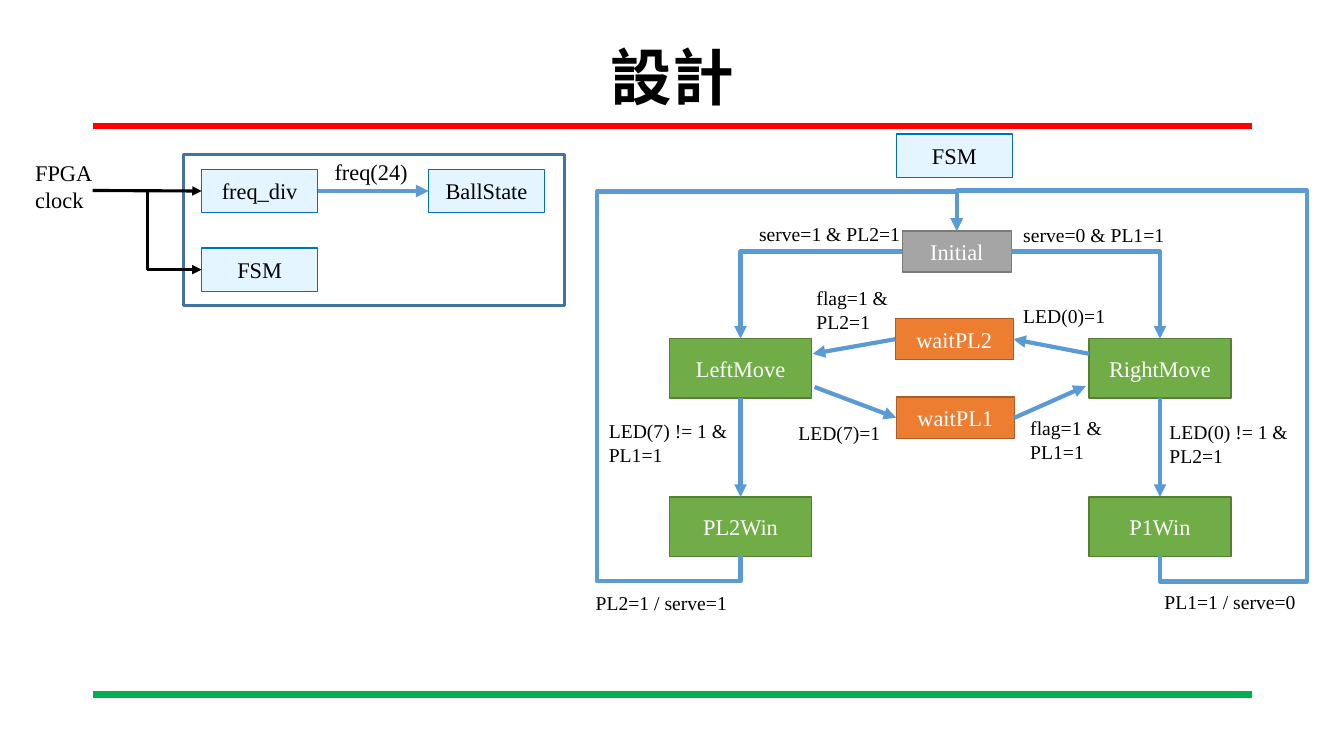
from lxml import etree
from pptx import Presentation
from pptx.dml.color import RGBColor
from pptx.enum.shapes import MSO_CONNECTOR, MSO_SHAPE
from pptx.enum.text import MSO_ANCHOR, MSO_AUTO_SIZE, PP_ALIGN
from pptx.oxml.ns import qn
from pptx.util import Inches, Pt

STRAIGHT, ELBOW = MSO_CONNECTOR.STRAIGHT, MSO_CONNECTOR.ELBOW
RECT = MSO_SHAPE.RECTANGLE
MIDDLE, CENTER = MSO_ANCHOR.MIDDLE, PP_ALIGN.CENTER
FIT, NO_FIT = MSO_AUTO_SIZE.SHAPE_TO_FIT_TEXT, MSO_AUTO_SIZE.NONE
TOP, LEFT, BOTTOM, RIGHT = range(4)
FONT = "Times New Roman"

BLACK = RGBColor(0x00, 0x00, 0x00)
WHITE = RGBColor(0xFF, 0xFF, 0xFF)
RED = RGBColor(0xFF, 0x00, 0x00)
LIME = RGBColor(0x00, 0xB0, 0x50)
BLUE = RGBColor(0x5B, 0x9B, 0xD5)
STEEL = RGBColor(0x43, 0x73, 0x9E)

# style: fill, line, text
BLOCK = (RGBColor(0xE5, 0xF5, 0xFF), RGBColor(0x00, 0x70, 0xC0), BLACK)
START = (RGBColor(0xA5, 0xA5, 0xA5), RGBColor(0x7A, 0x7A, 0x7A), WHITE)
STATE = (RGBColor(0x70, 0xAD, 0x47), RGBColor(0x53, 0x80, 0x35), WHITE)
WAIT = (RGBColor(0xED, 0x7D, 0x31), RGBColor(0xAF, 0x5C, 0x24), WHITE)

TITLE = "設計"
RULES = [(1.25, RED), (6.89, LIME)]
FRAME = (1.82, 1.53, 3.78, 1.5)
HEADER = ("FSM", 8.89, 1.33, 1.15, 0.43, BLOCK)
NODES = [
    ("freq_div", 2, 1.68, 1.15, 0.43, BLOCK),
    ("FSM", 2, 2.46, 1.15, 0.43, BLOCK),
    ("BallState", 4.25, 1.68, 1.15, 0.43, BLOCK),
    ("Initial", 8.95, 2.29, 1.08, 0.41, START),
    ("LeftMove", 6.64, 3.36, 1.41, 0.59, STATE),
    ("RightMove", 10.8, 3.36, 1.41, 0.59, STATE),
    ("PL2Win", 6.64, 4.93, 1.41, 0.59, STATE),
    ("P1Win", 10.8, 4.93, 1.41, 0.59, STATE),
    ("waitPL2", 8.88, 3.16, 1.17, 0.41, WAIT),
    ("waitPL1", 8.89, 3.94, 1.17, 0.41, WAIT),
]
# an end is a point, or a node with one of its sides
CLOCK = (0.92, 1.89)
LINKS = [
    (CLOCK, ("freq_div", LEFT), BLACK, 2.25),
    (("freq_div", RIGHT), ("BallState", LEFT), BLUE, 3),
    (("LeftMove", BOTTOM), ("PL2Win", TOP), BLUE, 3),
    (("RightMove", BOTTOM), ("P1Win", TOP), BLUE, 3),
    ((10.8, 3.51), ("waitPL2", RIGHT), BLUE, 3),
    (("waitPL2", LEFT), (8.06, 3.51), BLUE, 3),
    ((8.08, 3.84), ("waitPL1", LEFT), BLUE, 3),
    (("waitPL1", RIGHT), (10.77, 3.83), BLUE, 3),
]
CORNERS = [(("Initial", LEFT), ("LeftMove", TOP)),
           (("Initial", RIGHT), ("RightMove", TOP))]
# node, x of the outer lane, y of the lane above Initial
LOOPS = [("PL2Win", 5.92, 1.9), ("P1Win", 12.96, 1.89)]
LOOP_LOW = 5.77
# lines, left, top, width, height, size, wrap
LABELS = [
    (["FPGA", "clock"], 0.25, 1.53, 0.82, 0.64, 16, False),
    (["freq(24)"], 3.22, 1.52, 0.94, 0.37, 16, False),
    (["serve=1 & PL2=1"], 7.43, 2.15, 1.61, 0.34, 14, False),
    (["serve=0 & PL1=1"], 10.05, 2.16, 1.61, 0.34, 14, False),
    (["LED(0)=1"], 10.05, 2.97, 1.02, 0.34, 14, False),
    (["LED(0) != 1 &", "PL2=1"], 11.5, 4.12, 1.43, 0.57, 14, False),
    (["LED(7)=1"], 7.82, 4.13, 1.3, 0.34, 14, True),
    (["LED(7) != 1 &", "PL1=1"], 5.94, 4.11, 1.38, 0.57, 14, False),
    (["flag=1 & PL2=1"], 8, 2.79, 1.3, 0.57, 14, True),
    (["flag=1 & PL1=1"], 10.12, 4.08, 1.3, 0.57, 14, True),
    (["PL2=1 / serve=1"], 5.81, 5.81, 1.51, 0.34, 14, False),
    (["PL1=1 / serve=0"], 11.45, 5.8, 1.51, 0.34, 14, False),
]


def write(para, text, size, color, bold=False):
    run = para.add_run()
    run.text = text
    font = run.font
    font.name, font.size, font.bold = FONT, Pt(size), bold
    font.color.rgb = color


def add_box(shapes, left, top, width, height, line, weight):
    box = shapes.add_shape(RECT, *map(Inches, (left, top, width, height)))
    box.shadow.inherit = False
    box.line.color.rgb = line
    box.line.width = Pt(weight)
    return box


def add_node(shapes, name, left, top, width, height, style):
    fill, line, color = style
    node = add_box(shapes, left, top, width, height, line, 1)
    node.fill.solid()
    node.fill.fore_color.rgb = fill
    frame = node.text_frame
    frame.vertical_anchor = MIDDLE
    para = frame.paragraphs[0]
    para.alignment = CENTER
    write(para, name, 16, color)
    return node


def add_line(shapes, kind, start, end, color, weight, arrow=True):
    line = shapes.add_connector(kind, *map(Inches, start + end))
    line.line.color.rgb = color
    line.line.width = Pt(weight)
    props = line._element.spPr
    if arrow:
        etree.SubElement(props.find(qn("a:ln")), qn("a:tailEnd"), type="triangle")
    etree.SubElement(props, qn("a:effectLst"))
    return line


def reshape(line, preset, ratios=()):
    """Switch the bend preset and set its adjustments."""
    geom = line._element.spPr.find(qn("a:prstGeom"))
    geom.set("prst", preset)
    guides = geom.find(qn("a:avLst"))
    for num, ratio in enumerate(ratios, 1):
        etree.SubElement(guides, qn("a:gd"), name=f"adj{num}",
                         fmla=f"val {round(ratio * 100000)}")


def side(name, site):
    """Middle of one side of a node, in inches."""
    left, top, width, height = SPOTS[name]
    return {TOP: (left + width / 2, top), LEFT: (left, top + height / 2),
            BOTTOM: (left + width / 2, top + height),
            RIGHT: (left + width, top + height / 2)}[site]


def place(end):
    return side(*end) if end[0] in SPOTS else end


def add_loop(shapes, name, lane, high):
    """Route from below a win state, round the outside, down into Initial."""
    (x1, y1), (x2, y2) = side(name, BOTTOM), side("Initial", TOP)
    rise, run = y1 - y2, x2 - x1
    midx, midy = (x1 + x2) / 2, (y1 + y2) / 2
    # a quarter turn about the centre swaps the two axes
    start = (midx + rise / 2, midy + run / 2)
    end = (midx - rise / 2, midy - run / 2)
    loop = add_line(shapes, ELBOW, start, end, BLUE, 3)
    reshape(loop, "bentConnector5",
            ((y1 - LOOP_LOW) / rise, (lane - x1) / run, (y1 - high) / rise))
    loop._element.spPr.find(qn("a:xfrm")).set("rot", "5400000")


def add_label(shapes, lines, left, top, width, height, size, wrap):
    box = shapes.add_textbox(*map(Inches, (left, top, width, height)))
    frame = box.text_frame
    frame.word_wrap = wrap
    frame.auto_size = FIT
    for num, text in enumerate(lines):
        para = frame.add_paragraph() if num else frame.paragraphs[0]
        write(para, text, size, BLACK)


SPOTS = {node[0]: node[1:5] for node in NODES}


def main():
    deck = Presentation()
    deck.slide_width, deck.slide_height = Inches(13.33), Inches(7.5)
    shapes = deck.slides.add_slide(deck.slide_layouts[5]).shapes

    for y, color in RULES:
        add_line(shapes, STRAIGHT, (0.92, y), (12.42, y), color, 4.5, False)

    title = shapes.title
    title.left, title.top = Inches(0.92), Inches(0.4)
    title.width, title.height = Inches(11.5), Inches(0.79)
    title.text_frame.vertical_anchor = MIDDLE
    title.text_frame.auto_size = NO_FIT
    head = title.text_frame.paragraphs[0]
    head.alignment, head.line_spacing = CENTER, 0.9
    write(head, TITLE, 44, BLACK, True)

    add_box(shapes, *FRAME, STEEL, 2.25).fill.background()
    add_node(shapes, *HEADER)
    nodes = {node[0]: add_node(shapes, *node) for node in NODES}

    for start, end, color, weight in LINKS:
        line = add_line(shapes, STRAIGHT, place(start), place(end), color, weight)
        if start[0] in nodes:
            line.begin_connect(nodes[start[0]], start[1])
        if end[0] in nodes:
            line.end_connect(nodes[end[0]], end[1])
    add_line(shapes, ELBOW, CLOCK, side("FSM", LEFT), BLACK, 2.25)
    for start, end in CORNERS:
        bend = add_line(shapes, ELBOW, place(start), place(end), BLUE, 3)
        reshape(bend, "bentConnector2")
    for loop in LOOPS:
        add_loop(shapes, *loop)
    for label in LABELS:
        add_label(shapes, *label)

    deck.save("out.pptx")


if __name__ == "__main__":
    main()
